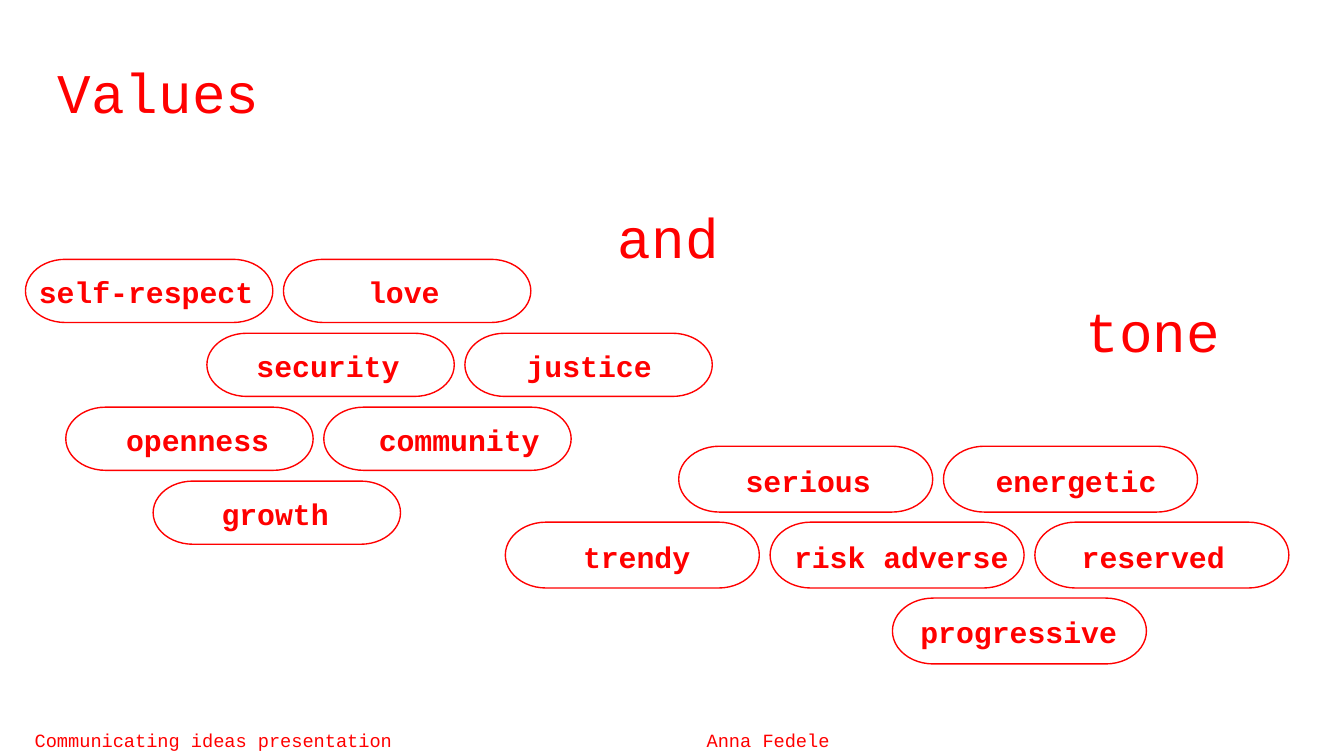
from lxml import etree
from pptx import Presentation
from pptx.dml.color import RGBColor
from pptx.enum.shapes import MSO_SHAPE
from pptx.enum.text import MSO_ANCHOR, MSO_AUTO_SIZE, PP_ALIGN
from pptx.oxml.ns import qn
from pptx.util import Inches, Pt

PILL = MSO_SHAPE.FLOWCHART_TERMINATOR
TOP, LEFT = MSO_ANCHOR.TOP, PP_ALIGN.LEFT
GROW, FIXED = MSO_AUTO_SIZE.SHAPE_TO_FIT_TEXT, MSO_AUTO_SIZE.NONE

# 16:9 page
PAGE_WIDTH = Inches(10)
PAGE_HEIGHT = PAGE_WIDTH * 9 // 16

COLORS = {"paper": "FFFFFF", "ink": "FF0000"}
FONT = "Courier New"
HEADING = {"size": Pt(30), "bold": False}
LABEL = {"size": Pt(16), "bold": True}
FOOTER = {"size": Pt(10), "bold": False}

# Heading words: text, box
TITLE = ("Values", (0.33, 0.33, 4.21, 0.62))
HEADING_WORDS = [
    ("and", (4.5, 1.41, 1, 0.62)),
    ("tone", (7.98, 2.11, 1.38, 0.62)),
]
FOOTER_TEXT = "Communicating ideas presentation\tAnna Fedele"
FOOTER_BOX = (0.16, 5.33, 9.32, 0.19)
AUTHOR_TAB = 5

# Pill groups; each row: left of first pill, then (word, label left, label width)
GROUPS = [
    {"top": 1.93, "size": (1.84, 0.47), "pitch": (1.92, 0.55), "drop": 0.01, "rows": [
        (0.19, [("self-respect", 0.19, 1.89), ("love", 2.64, 0.79)]),
        (1.54, [("security", 1.81, 1.31), ("justice", 3.82, 1.14)]),
        (0.49, [("openness", 0.84, 1.31), ("community", 2.72, 1.46)]),
        (1.14, [("growth", 1.55, 1.02)]),
    ]},
    {"top": 3.32, "size": (1.89, 0.49), "pitch": (1.97, 0.565), "drop": 0.02, "rows": [
        (5.05, [("serious", 5.45, 1.3), ("energetic", 7.31, 1.41)]),
        (3.76, [("trendy", 4.24, 1.17), ("risk adverse", 5.81, 2.03),
                ("reserved", 7.95, 1.49)]),
        (6.64, [("progressive", 6.75, 2.03)]),
    ]},
]
LABEL_HEIGHT = 0.47


def write(s, text, style, auto_size=FIXED):
    tf = s.text_frame
    frame = {"word_wrap": True, "auto_size": auto_size, "vertical_anchor": TOP}
    for side in ("left", "top", "right", "bottom"):
        frame["margin_" + side] = Inches(0.1)
    for name, value in frame.items():
        setattr(tf, name, value)
    p = tf.paragraphs[0]
    p.alignment, p.line_spacing = LEFT, 1.0
    p.space_before = Pt(0)
    r = p.add_run()
    r.text = text
    for name, value in {"name": FONT, **style}.items():
        setattr(r.font, name, value)
    r.font.color.rgb = RGBColor.from_string(COLORS["ink"])
    return p


def add_text(slide, text, box, style, auto_size=FIXED):
    s = slide.shapes.add_textbox(*map(Inches, box))
    return write(s, text, style, auto_size)


def add_pill(slide, box):
    s = slide.shapes.add_shape(PILL, *map(Inches, box))
    s.shadow.inherit = False
    s.fill.background()
    s.line.color.rgb = RGBColor.from_string(COLORS["ink"])
    s.line.width = Pt(0.75)


def add_group(slide, group):
    width, height = group["size"]
    dx, dy = group["pitch"]
    for row, (left, words) in enumerate(group["rows"]):
        top = group["top"] + row * dy
        for col, (word, label_left, label_width) in enumerate(words):
            add_pill(slide, (left + col * dx, top, width, height))
            box = (label_left, top + group["drop"], label_width, LABEL_HEIGHT)
            add_text(slide, word, box, LABEL, GROW)


def main():
    prs = Presentation()
    prs.slide_width, prs.slide_height = PAGE_WIDTH, PAGE_HEIGHT
    slide = prs.slides.add_slide(prs.slide_layouts[5])
    slide.background.fill.solid()
    slide.background.fill.fore_color.rgb = RGBColor.from_string(COLORS["paper"])

    # Title
    title = slide.shapes.title
    text, box = TITLE
    title.left, title.top, title.width, title.height = map(Inches, box)
    write(title, text, HEADING)

    # Words in pills
    for group in GROUPS:
        add_group(slide, group)

    # Other heading words
    for text, box in HEADING_WORDS:
        add_text(slide, text, box, HEADING)

    # Footer, with a tab stop for the author
    p = add_text(slide, FOOTER_TEXT, FOOTER_BOX, FOOTER)
    tabs = etree.SubElement(p._p.get_or_add_pPr(), qn("a:tabLst"))
    etree.SubElement(tabs, qn("a:tab"), pos=str(Inches(AUTHOR_TAB)), algn="l")

    prs.save("out.pptx")


if __name__ == "__main__":
    main()
